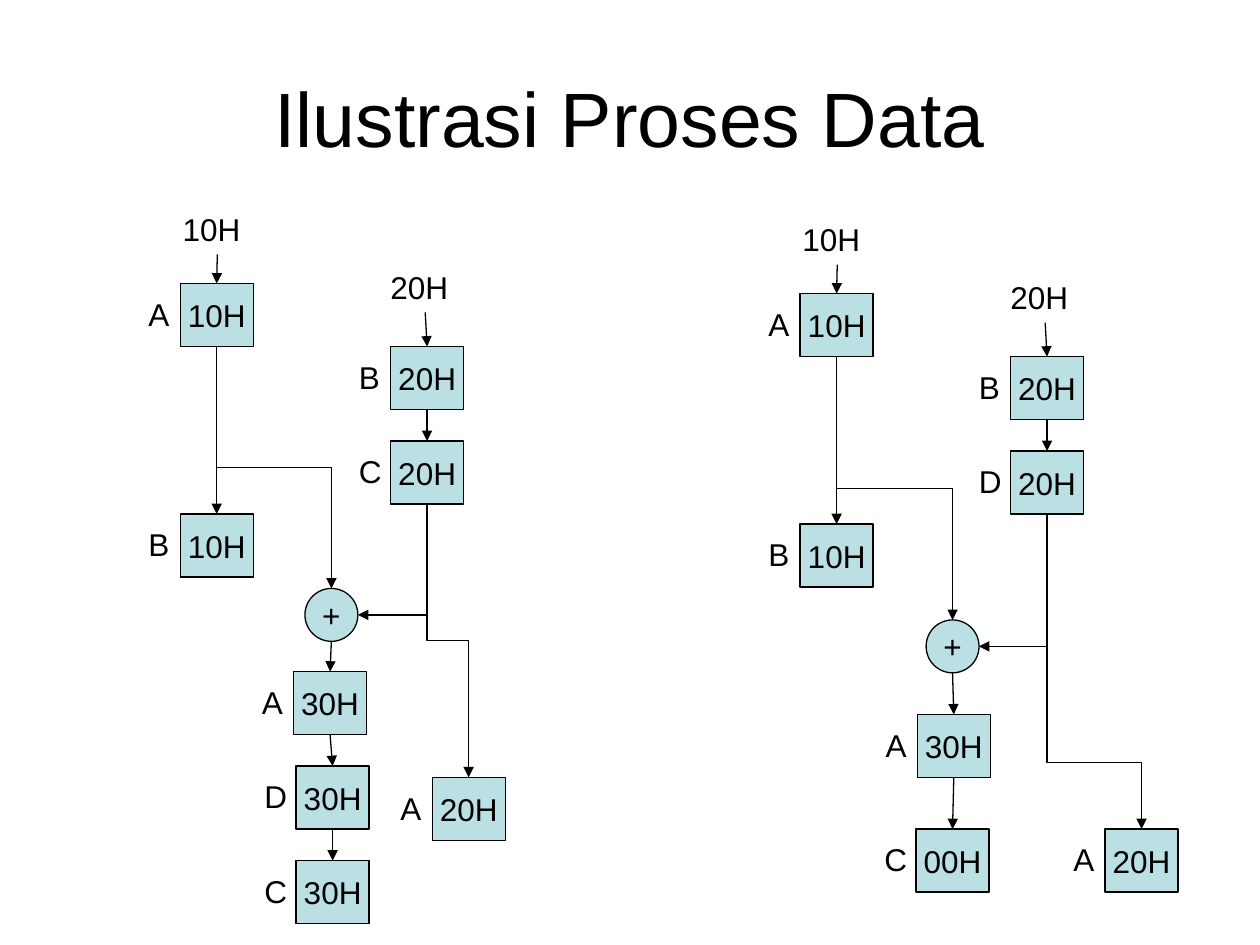
from pptx import Presentation
from pptx.dml.color import RGBColor
from pptx.enum.shapes import MSO_CONNECTOR, MSO_SHAPE
from pptx.enum.text import MSO_ANCHOR, MSO_AUTO_SIZE, PP_ALIGN
from pptx.oxml.ns import qn
from pptx.util import Inches, Pt
from lxml import etree

STRAIGHT, ELBOW = MSO_CONNECTOR.STRAIGHT, MSO_CONNECTOR.ELBOW
RECTANGLE, OVAL = MSO_SHAPE.RECTANGLE, MSO_SHAPE.OVAL
MIDDLE, TOP_ANCHOR = MSO_ANCHOR.MIDDLE, MSO_ANCHOR.TOP
CENTER, LEFT_ALIGN = PP_ALIGN.CENTER, PP_ALIGN.LEFT
FIT_SHAPE = MSO_AUTO_SIZE.SHAPE_TO_FIT_TEXT
TOP, BOTTOM = 0, 2

COLORS = {"ink": "000000", "box": "BBE0E3"}
FONT = "Arial"
TITLE_SIZE, TEXT_SIZE, LINE_WIDTH = 44, 18, 0.75
BOX_WIDTH, BOX_HEIGHT, CIRCLE_SIZE = 0.58, 0.5, 0.42


def color(name):
    return RGBColor.from_string(COLORS[name])


def top_middle(shape):
    return shape.left + shape.width // 2, shape.top


def bottom_middle(shape):
    return shape.left + shape.width // 2, shape.top + shape.height


def right_middle(shape):
    return shape.left + shape.width, shape.top + shape.height // 2


class DataFlowSlide:
    def __init__(self, slide):
        self.slide = slide

    def set_text(self, shape, text, size=TEXT_SIZE, align=CENTER, anchor=MIDDLE):
        frame = shape.text_frame
        frame.text = text
        frame.vertical_anchor = anchor
        paragraph = frame.paragraphs[0]
        paragraph.alignment = align
        font = paragraph.runs[0].font
        font.name, font.size = FONT, Pt(size)
        font.color.rgb = color("ink")

    def title(self, text):
        title = self.slide.shapes.title
        title.left, title.top = Inches(0.5), Inches(0.3)
        title.width, title.height = Inches(9), Inches(1.25)
        self.set_text(title, text, TITLE_SIZE)

    def filled(self, shapes, kind, left, top, width, height, text):
        shape = shapes.add_shape(kind, Inches(left), Inches(top),
                                 Inches(width), Inches(height))
        shape.shadow.inherit = False
        shape.fill.solid()
        shape.fill.fore_color.rgb = color("box")
        shape.line.color.rgb = color("ink")
        shape.line.width = Pt(LINE_WIDTH)
        self.set_text(shape, text)
        shape.text_frame.word_wrap = False
        return shape

    def label(self, shapes, left, top, width, text, wrap):
        box = shapes.add_textbox(Inches(left), Inches(top), Inches(width), Inches(0.4))
        self.set_text(box, text, align=LEFT_ALIGN, anchor=TOP_ANCHOR)
        box.text_frame.word_wrap = wrap
        box.text_frame.auto_size = FIT_SHAPE
        return box

    def register(self, name, value, left, top):
        """Group a value box with its register name and return the box."""
        shapes = self.slide.shapes.add_group_shape().shapes
        box = self.filled(shapes, RECTANGLE, left, top, BOX_WIDTH, BOX_HEIGHT, value)
        self.label(shapes, left - 0.35, top + 0.04, 0.36, name, False)
        return box

    def input_value(self, text, left, top):
        return self.label(self.slide.shapes, left, top, 0.75, text, True)

    def adder(self, left, top):
        return self.filled(self.slide.shapes, OVAL, left, top,
                           CIRCLE_SIZE, CIRCLE_SIZE, "+")

    def connector(self, kind, begin, end):
        connector = self.slide.shapes.add_connector(kind, *begin, *end)
        connector.line.color.rgb = color("ink")
        connector.line.width = Pt(LINE_WIDTH)
        properties = connector._element.spPr
        etree.SubElement(properties.find(qn("a:ln")), qn("a:tailEnd"), type="triangle")
        etree.SubElement(properties, qn("a:effectLst"))
        return connector

    def arrow(self, source, target, join_source=True):
        """Straight arrow from the bottom of source to the top of target."""
        connector = self.connector(STRAIGHT, bottom_middle(source), top_middle(target))
        if join_source:
            connector.begin_connect(source, BOTTOM)
        connector.end_connect(target, TOP)

    def turn(self, connector, begin, end, angle, flip):
        """Rotate an elbow so that it leaves its starting point downwards."""
        run, drop = abs(end[0] - begin[0]), end[1] - begin[1]
        connector.width, connector.height = drop, run
        connector.left = (begin[0] + end[0] - drop) // 2
        connector.top = (begin[1] + end[1] - run) // 2
        frame = connector._element.spPr.find(qn("a:xfrm"))
        frame.attrib.pop("flipH", None)
        frame.set("rot", str(angle * 60000))
        if flip:
            frame.set("flipH", "1")

    def branch_down(self, source, target, bend=0.5):
        """Elbow from the bottom of source to the top of a target on its right."""
        begin, end = bottom_middle(source), top_middle(target)
        connector = self.connector(ELBOW, begin, end)
        connector.begin_connect(source, BOTTOM)
        connector.end_connect(target, TOP)
        self.turn(connector, begin, end, 270, True)
        adjustments = connector._element.spPr.find(qn("a:prstGeom")).get_or_add_avLst()
        etree.SubElement(adjustments, qn("a:gd"), name="adj1",
                         fmla=f"val {round(bend * 100000)}")

    def branch_left(self, source, target):
        """Elbow from the bottom of source to the right side of target."""
        begin, end = bottom_middle(source), right_middle(target)
        connector = self.connector(ELBOW, begin, end)
        connector._element.spPr.find(qn("a:prstGeom")).set("prst", "bentConnector2")
        self.turn(connector, begin, end, 90, False)

    def load_and_add(self, left, top, copy_name, adder_left, adder_top):
        """Draw both inputs and the adder; return the adder and the copied value."""
        first_input = self.input_value("10H", left - 0.08, top - 0.63)
        first = self.register("A", "10H", left, top)
        first_copy = self.register("B", "10H", left, top + 1.83)
        second_input = self.input_value("20H", left + 1.57, top - 0.17)
        second = self.register("B", "20H", left + 1.67, top + 0.5)
        second_copy = self.register(copy_name, "20H", left + 1.67, top + 1.25)
        adder = self.adder(adder_left, adder_top)
        for source, target in ((first_input, first), (first, first_copy),
                               (second_input, second), (second, second_copy)):
            self.arrow(source, target)
        self.branch_down(first, adder)
        self.branch_left(second_copy, adder)
        return adder, second_copy

    def results(self, adder, registers):
        """Chain registers below the adder, each joined to the one before."""
        source = adder
        for register in registers:
            target = self.register(*register)
            self.arrow(source, target, join_source=source is not adder)
            source = target


def main():
    presentation = Presentation()
    presentation.slide_width, presentation.slide_height = Inches(10), Inches(7.5)
    slide = presentation.slides.add_slide(presentation.slide_layouts[5])
    flow = DataFlowSlide(slide)
    flow.title("Ilustrasi Proses Data")

    adder, second_copy = flow.load_and_add(1.43, 2.25, "C", 2.42, 4.67)
    flow.results(adder, [("A", "30H", 2.33, 5.33), ("D", "30H", 2.35, 6.08),
                         ("C", "30H", 2.35, 6.83)])
    flow.branch_down(second_copy, flow.register("A", "20H", 3.43, 6.17))

    adder, second_copy = flow.load_and_add(6.35, 2.33, "D", 7.35, 4.92)
    flow.results(adder, [("A", "30H", 7.28, 5.67), ("C", "00H", 7.27, 6.58)])
    flow.branch_down(second_copy, flow.register("A", "20H", 8.77, 6.58), 0.79)

    presentation.save("out.pptx")


if __name__ == "__main__":
    main()
